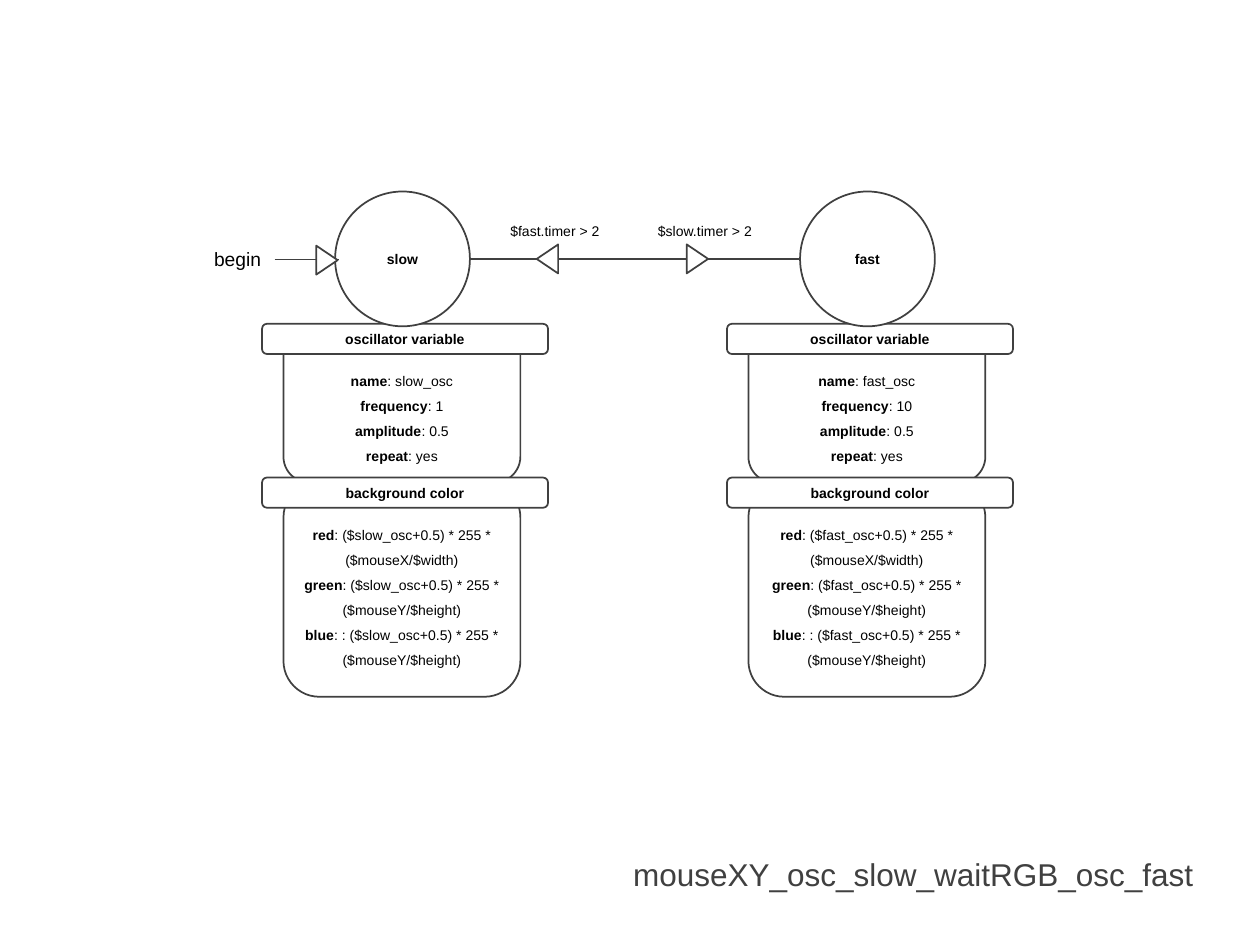
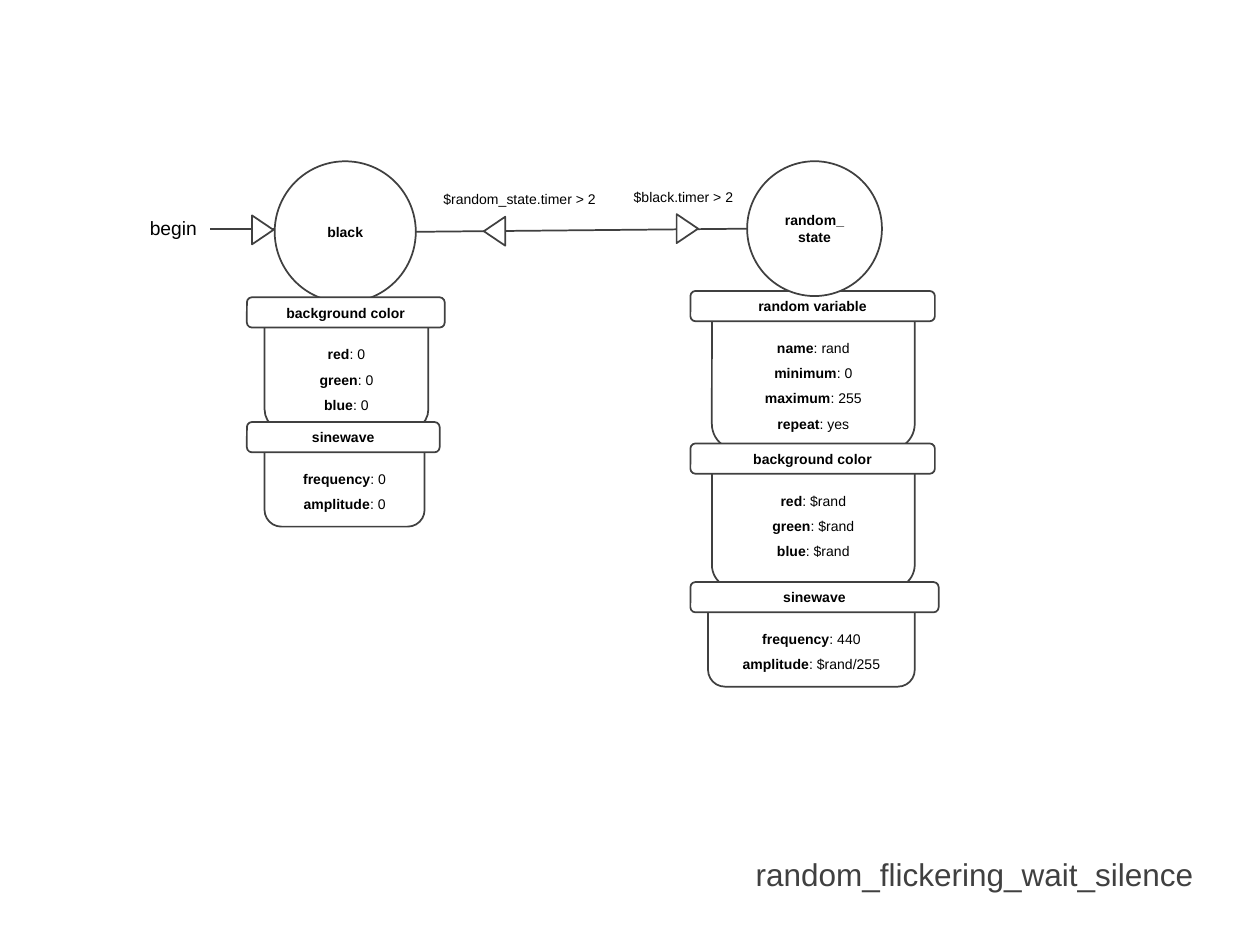
from lxml.etree import SubElement
from pptx import Presentation
from pptx.dml.color import RGBColor
from pptx.enum.shapes import MSO_CONNECTOR, MSO_SHAPE
from pptx.enum.text import MSO_ANCHOR, MSO_AUTO_SIZE, PP_ALIGN
from pptx.oxml.ns import qn
from pptx.util import Inches, Pt

COLORS = {"paper": "FFFFFF", "outline": "404040", "ink": "000000"}
FONT = "Arial"

deck = Presentation()
deck.slide_width, deck.slide_height = Inches(10), Inches(7.5)
# All lengths are cells of a grid with 100 columns and 75 rows
CELL = deck.slide_width // 100
HEADER_HEIGHT = 2.4
BODY_DROP = 0.3     # header top to body top
TEXT_DROP = 2.6     # header top to text top
ROW_HEIGHT = 2      # one line of small text
WRAP_AT = 30        # longer settings take two lines
GATE_WIDTH, GATE_HEIGHT = 2.3, 1.7


def add_outline(slide, preset, left, top, width, height, caption="", turn=0):
    """Draw a white outlined shape with an optional bold caption."""
    outline = slide.shapes.add_shape(
        preset, *(int(n * CELL) for n in (left, top, width, height)))
    outline.rotation = turn
    outline.shadow.inherit = False
    outline.fill.solid()
    outline.fill.fore_color.rgb = RGBColor.from_string(COLORS["paper"])
    outline.line.color.rgb = RGBColor.from_string(COLORS["outline"])
    outline.line.width = Pt(1)
    if caption:
        outline.text_frame.text = caption
        outline.text_frame.vertical_anchor = MSO_ANCHOR.MIDDLE
        paragraph = outline.text_frame.paragraphs[0]
        paragraph.alignment = PP_ALIGN.CENTER
        for run in paragraph.runs:
            run.font.name, run.font.size, run.font.bold = FONT, Pt(8), True
            run.font.color.rgb = RGBColor.from_string(COLORS["ink"])


def add_words(slide, left, top, width, height, lines, size=8, color="ink",
              align=PP_ALIGN.CENTER, spacing=1.5, wrap=True):
    """Write lines of text; the part before a colon is bold."""
    frame = slide.shapes.add_textbox(
        *(int(n * CELL) for n in (left, top, width, height))).text_frame
    frame.word_wrap = wrap
    frame.auto_size = MSO_AUTO_SIZE.SHAPE_TO_FIT_TEXT
    for index, line in enumerate(lines):
        paragraph = frame.add_paragraph() if index else frame.paragraphs[0]
        paragraph.alignment, paragraph.line_spacing = align, spacing
        label, colon, value = line.partition(":")
        paragraph.text = label
        paragraph.runs[0].font.bold = bool(colon)
        if colon:
            paragraph.add_run().text = colon + value
        for run in paragraph.runs:
            run.font.name, run.font.size = FONT, Pt(size)
            run.font.color.rgb = RGBColor.from_string(COLORS[color])


# Slide 1 states follow one pattern, shifted sideways
oscillators = []
for state, shift, frequency in (("slow", 0, 1), ("fast", 36.9, 10)):
    span = (20.8 + shift, 22.7, 22.5 + shift, 18.8)
    level = f"(${state}_osc+0.5) * 255 *"
    oscillators.append({
        "name": state, "circle": (26.6 + shift, 15.2, 10.7), "in_front": True,
        "panels": [
            ("oscillator variable", 25.7, 12.3, span,
             [f"name: {state}_osc", f"frequency: {frequency}",
              "amplitude: 0.5", "repeat: yes"]),
            ("background color", 37.9, 17.1, span,
             [f"red: {level} ($mouseX/$width)",
              f"green: {level} ($mouseY/$height)",
              f"blue: : {level} ($mouseY/$height)"]),
        ]})

# Slide 2 states; a panel is title, top, body height,
# (header left, header width, body left, body width), settings
flickers = [
    {"name": "black", "circle": (21.8, 12.8, 11.2), "in_front": False,
     "panels": [
         ("background color", 23.6, 10.3, (19.6, 15.7, 21, 13),
          ["red: 0", "green: 0", "blue: 0"]),
         ("sinewave", 33.5, 8, (19.6, 15.3, 21, 12.7),
          ["frequency: 0", "amplitude: 0"]),
     ]},
    {"name": "random_\vstate", "circle": (59.3, 12.8, 10.7), "in_front": True,
     "panels": [
         ("random variable", 23.1, 12.3, (54.8, 19.4, 56.5, 16.1),
          ["name: rand", "minimum: 0", "maximum: 255", "repeat: yes"]),
         ("background color", 35.2, 11.2, (54.8, 19.4, 56.5, 16.1),
          ["red: $rand", "green: $rand", "blue: $rand"]),
         ("sinewave", 46.2, 8, (54.8, 19.7, 56.2, 16.4),
          ["frequency: 440", "amplitude: $rand/255"]),
     ]},
]

# A gate is left, top, turn, then its condition's left, top, width and text
diagrams = [
    {"title": "mouseXY_osc_slow_waitRGB_osc_fast", "states": oscillators,
     "begin": (16, 19.1),
     "gates": [(54.2, 19.7, 90, 49.5, 16.5, 12.9, "$slow.timer > 2"),
               (42.3, 19.7, 270, 37.6, 16.5, 12.9, "$fast.timer > 2")]},
    {"title": "random_flickering_wait_silence", "states": flickers,
     "begin": (10.9, 16.7),
     "gates": [(53.4, 17.3, 90, 47.8, 13.8, 12.9, "$black.timer > 2"),
               (38.1, 17.5, 270, 33.4, 14, 15.7, "$random_state.timer > 2")]},
]

for diagram in diagrams:
    slide = deck.slides.add_slide(deck.slide_layouts[6])

    # States: a circle over or under its stack of panels
    for state in diagram["states"]:
        left, top, size = state["circle"]
        circle = (slide, MSO_SHAPE.OVAL, left, top, size, size, state["name"])
        if not state["in_front"]:
            add_outline(*circle)
        for title, top, body_height, span, settings in state["panels"]:
            header_left, header_width, body_left, body_width = span
            add_outline(slide, MSO_SHAPE.ROUNDED_RECTANGLE, body_left,
                        top + BODY_DROP, body_width, body_height)
            add_outline(slide, MSO_SHAPE.ROUNDED_RECTANGLE, header_left, top,
                        header_width, HEADER_HEIGHT, title)
            rows = sum(1 + (len(line) > WRAP_AT) for line in settings)
            add_words(slide, body_left, top + TEXT_DROP + 0.1, body_width,
                      1 + rows * ROW_HEIGHT, settings)
        if state["in_front"]:
            add_outline(*circle)

    # Lines: into the first state, and between the two states
    begin_left, begin_top = diagram["begin"]
    (x1, y1, size1), (x2, y2, size2) = (s["circle"] for s in diagram["states"])
    begin_y = begin_top + 1.5
    for ends in ((begin_left + 5.8, begin_y, begin_left + 10.9, begin_y),
                 (x1 + size1, y1 + size1 / 2, x2, y2 + size2 / 2)):
        path_line = slide.shapes.add_connector(
            MSO_CONNECTOR.STRAIGHT, *(int(n * CELL) for n in ends))
        path_line.line.color.rgb = RGBColor.from_string(COLORS["outline"])
        path_line.line.width = Pt(1)
        SubElement(path_line._element.spPr, qn("a:effectLst"))

    # Begin mark
    add_outline(slide, MSO_SHAPE.ISOSCELES_TRIANGLE, begin_left + 8.8,
                begin_top + 0.7, GATE_WIDTH, GATE_HEIGHT, turn=90)
    add_words(slide, begin_left, begin_top, 5.8, 2.9, ["begin"], size=11,
              align=PP_ALIGN.LEFT, spacing=1, wrap=False)

    # Gates with their conditions
    for left, top, turn, text_left, text_top, text_width, condition in diagram["gates"]:
        add_outline(slide, MSO_SHAPE.ISOSCELES_TRIANGLE, left, top,
                    GATE_WIDTH, GATE_HEIGHT, turn=turn)
        add_words(slide, text_left, text_top, text_width, 2.9, [condition])

    # Title at the bottom right
    add_words(slide, 19.6, 65.9, 76.1, 5.3, [diagram["title"]], size=18,
              color="outline", align=PP_ALIGN.RIGHT)

deck.save("out.pptx")
